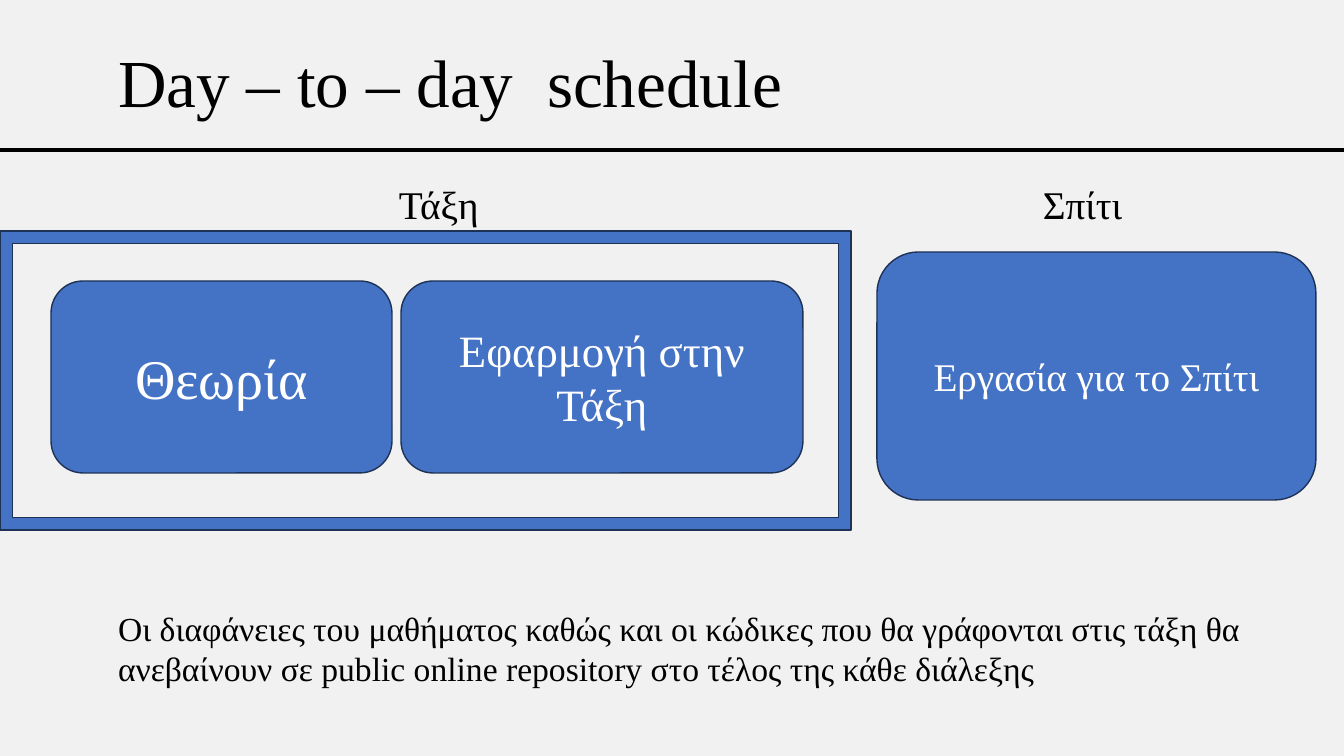
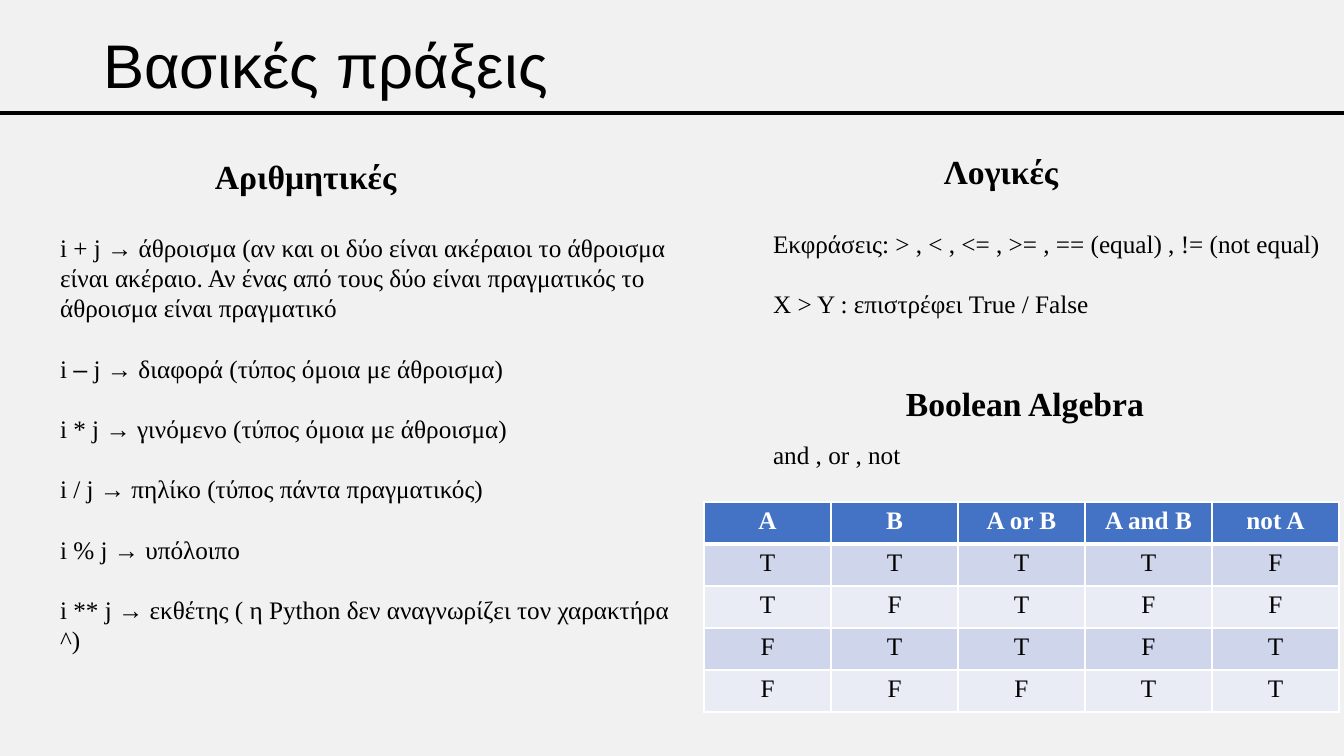
from lxml.etree import SubElement
from pptx import Presentation
from pptx.dml.color import RGBColor
from pptx.enum.shapes import MSO_CONNECTOR, MSO_SHAPE
from pptx.enum.text import MSO_ANCHOR, MSO_AUTO_SIZE, PP_ALIGN
from pptx.oxml import parse_xml
from pptx.oxml.ns import nsdecls, qn
from pptx.util import Emu, Pt

# Shared look
SLIDE_W, SLIDE_H = 1344, 756
SERIF, SANS = "Times New Roman", "Arial"
BACKGROUND, INK, WHITE = "F2F1F1", "000000", "FFFFFF"
BLUE, OUTLINE = "4472C4", "1E3256"
BANDS = ("CFD5EA", "E9EBF5")
BLANK_LINE = 21.5  # gap between list items, points

OPERATIONS = [
    "i + j → άθροισμα (αν και οι δύο είναι ακέραιοι το άθροισμα είναι ακέραιο. "
    "Αν ένας από τους δύο είναι πραγματικός το άθροισμα είναι πραγματικό",
    [("i ", SERIF), ("–", SANS), (" j → διαφορά (τύπος όμοια με άθροισμα)", SERIF)],
    "i * j → γινόμενο (τύπος όμοια με άθροισμα)",
    "i / j → πηλίκο (τύπος πάντα πραγματικός)",
    "i % j → υπόλοιπο",
    "i ** j → εκθέτης ( η Python δεν αναγνωρίζει τον χαρακτήρα ^)",
]
LOGIC = [
    "Εκφράσεις: > , < , <= , >= , == (equal) , != (not equal)",
    "X > Y : επιστρέφει True / False",
    "and , or , not",
]
TRUTH_TABLE = [
    ["A", "B", "A or B", "A and B", "not A"],
    ["T", "T", "T", "T", "F"],
    ["T", "F", "T", "F", "F"],
    ["F", "T", "T", "F", "T"],
    ["F", "F", "F", "T", "T"],
]


def px(length):
    return Emu(round(length * 12192000 / SLIDE_W))


def rgb(value):
    return RGBColor.from_string(value)


def write(frame, paragraphs, size=18, font=SERIF, color=INK, bold=False,
          align=PP_ALIGN.LEFT, gaps=(), line_spacing=1.0):
    """Fill a text frame; a paragraph is a string or a list of (text, font)."""
    for index, content in enumerate(paragraphs):
        paragraph = frame.add_paragraph() if index else frame.paragraphs[0]
        paragraph.alignment = align
        paragraph.line_spacing = line_spacing
        paragraph.space_before = Pt(gaps[index - 1] if index and gaps else 0)
        pieces = [(content, font)] if isinstance(content, str) else content
        for words, face in pieces:
            run = paragraph.add_run()
            run.text = words
            run.font.name, run.font.size = face, Pt(size)
            run.font.bold = bold
            run.font.color.rgb = rgb(color)


def place(holder, left, top, width, height):
    holder.left, holder.top = px(left), px(top)
    holder.width, holder.height = px(width), px(height)
    frame = holder.text_frame
    frame.word_wrap = True
    frame.auto_size = MSO_AUTO_SIZE.NONE
    frame.vertical_anchor = MSO_ANCHOR.TOP
    return frame


def add_title(slide, title, box, rule_y, **style):
    write(place(slide.shapes.title, *box), [title], **style)
    rule = slide.shapes.add_connector(
        MSO_CONNECTOR.STRAIGHT, 0, px(rule_y), px(SLIDE_W), px(rule_y))
    rule.line.color.rgb = rgb(INK)
    rule.line.width = Pt(3)
    SubElement(rule._element.spPr, qn("a:effectLst"))


def fill_body(slide, number, box, paragraphs, **style):
    frame = place(slide.placeholders[number], *box)
    write(frame, paragraphs, **style)
    for paragraph in frame.paragraphs:
        properties = paragraph._p.get_or_add_pPr()
        properties.set("marL", "0")
        properties.set("indent", "0")
        SubElement(properties, qn("a:buNone"))


def add_label(slide, label, left, top, width, height, **style):
    box = slide.shapes.add_textbox(px(left), px(top), px(width), px(height))
    box.text_frame.word_wrap = True
    write(box.text_frame, [label], **style)


def add_block(slide, kind, left, top, width, height):
    block = slide.shapes.add_shape(kind, px(left), px(top), px(width), px(height))
    block.shadow.inherit = False
    block.fill.solid()
    block.fill.fore_color.rgb = rgb(BLUE)
    block.line.color.rgb = rgb(OUTLINE)
    block.line.width = Pt(1)
    return block


def set_borders(cell, top, bottom):
    properties = cell._tc.get_or_add_tcPr()
    edges = (("lnL", 1), ("lnR", 1), ("lnT", top), ("lnB", bottom))
    for index, (edge, points) in enumerate(edges):
        properties.insert(index, parse_xml(
            f'<a:{edge} {nsdecls("a")} w="{Pt(points)}"><a:solidFill>'
            f'<a:srgbClr val="{WHITE}"/></a:solidFill></a:{edge}>'))


def add_truth_table(slide, left, top, column_width, row_height):
    rows, columns = len(TRUTH_TABLE), len(TRUTH_TABLE[0])
    table = slide.shapes.add_table(
        rows, columns, px(left), px(top),
        px(columns * column_width), px(rows * row_height)).table
    for r, values in enumerate(TRUTH_TABLE):
        header = r == 0
        for c, value in enumerate(values):
            cell = table.cell(r, c)
            cell.fill.solid()
            cell.fill.fore_color.rgb = rgb(BLUE if header else BANDS[(r - 1) % 2])
            set_borders(cell, top=3 if r == 1 else 1, bottom=3 if header else 1)
            write(cell.text_frame, [value], bold=header, align=PP_ALIGN.CENTER,
                  color=WHITE if header else INK)


def build_schedule(prs):
    slide = prs.slides.add_slide(prs.slide_layouts[1])
    add_title(slide, "Day – to – day  schedule", (108, 35, 989, 92), 150, size=48)

    # Activities, in class and at home
    for activity, size, box in (
            ("Θεωρία", 40, (51, 281, 341, 192)),
            ("Εφαρμογή στην Τάξη", 32, (401, 281, 402, 192)),
            ("Εργασία για το Σπίτι", 28, (877, 252, 439, 248))):
        block = add_block(slide, MSO_SHAPE.ROUNDED_RECTANGLE, *box)
        block.text_frame.word_wrap = True
        block.text_frame.vertical_anchor = MSO_ANCHOR.MIDDLE
        write(block.text_frame, [activity], size=size, color=WHITE,
              align=PP_ALIGN.CENTER)
    classroom = add_block(slide, MSO_SHAPE.FRAME, 0, 231, 851, 299)
    classroom.adjustments[0] = 0.042
    for location, left in (("Τάξη", 389), ("Σπίτι", 1033)):
        add_label(slide, location, left, 175, 128, 57, size=28)

    # Where the material goes
    fill_body(slide, 1, (108, 603, 1172, 92), [
        "Οι διαφάνειες του μαθήματος καθώς και οι κώδικες που θα γράφονται στις "
        "τάξη θα ανεβαίνουν σε public online repository στο τέλος της κάθε διάλεξης",
    ], size=24)


def build_operations(prs):
    slide = prs.slides.add_slide(prs.slide_layouts[3])
    add_title(slide, "Βασικές πράξεις", (93, 30, 1159, 110), 113,
              size=44, font=SANS, line_spacing=0.9)

    # Lists and their headings
    fill_body(slide, 1, (50, 227, 652, 499), OPERATIONS,
              gaps=[BLANK_LINE] * (len(OPERATIONS) - 1))
    fill_body(slide, 2, (763, 223, 581, 254), LOGIC,
              gaps=[BLANK_LINE, 4 * BLANK_LINE])
    for heading, left, top in (("Αριθμητικές", 205, 151), ("Λογικές", 934, 146),
                               ("Boolean Algebra", 896, 378)):
        add_label(slide, heading, left, top, 345, 50, size=24, bold=True)

    add_truth_table(slide, 704, 502, column_width=127, row_height=42)


def main():
    prs = Presentation()
    prs.slide_width, prs.slide_height = px(SLIDE_W), px(SLIDE_H)
    backdrop = prs.slide_master.background.fill
    backdrop.solid()
    backdrop.fore_color.rgb = rgb(BACKGROUND)
    build_schedule(prs)
    build_operations(prs)
    prs.save("out.pptx")


if __name__ == "__main__":
    main()
